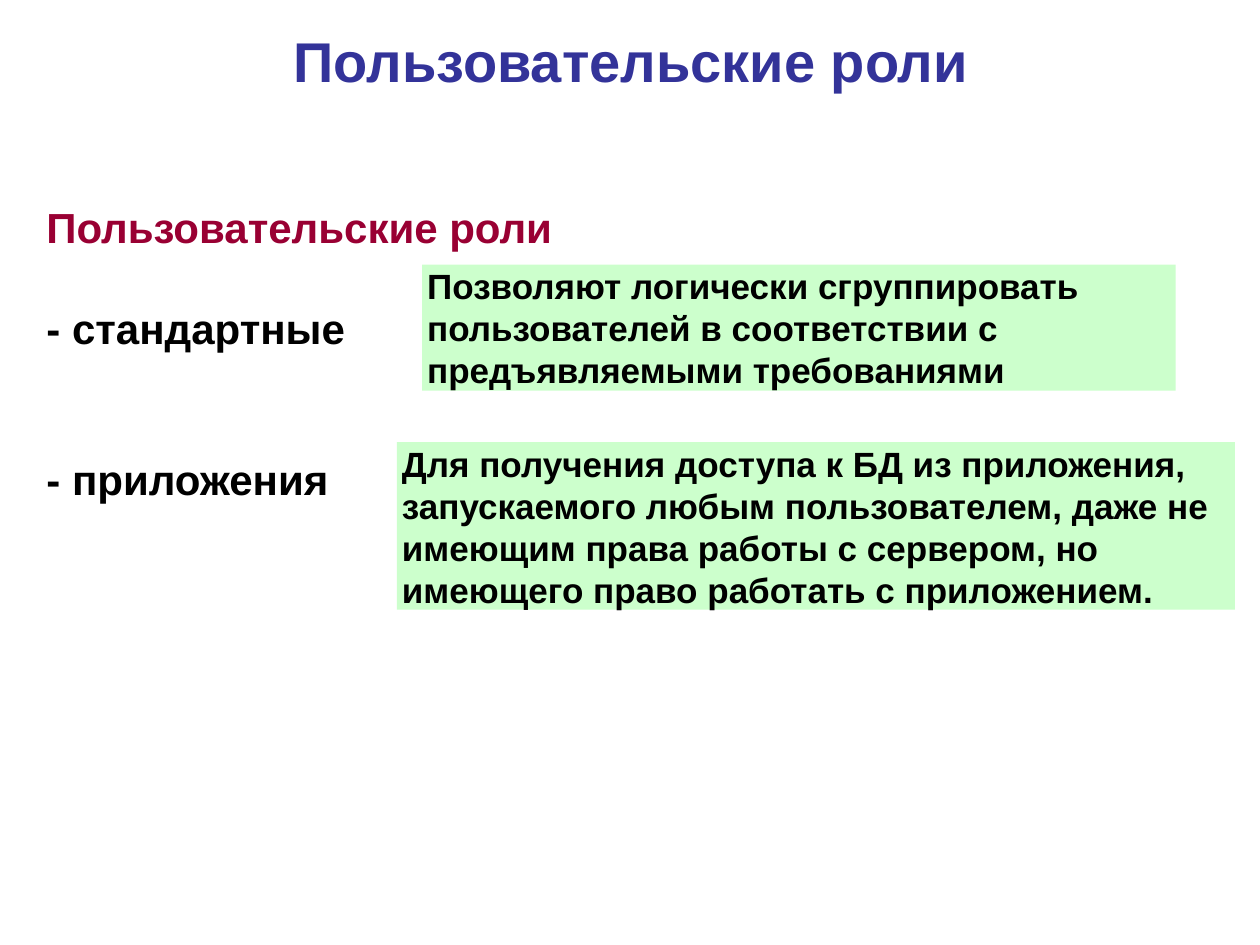
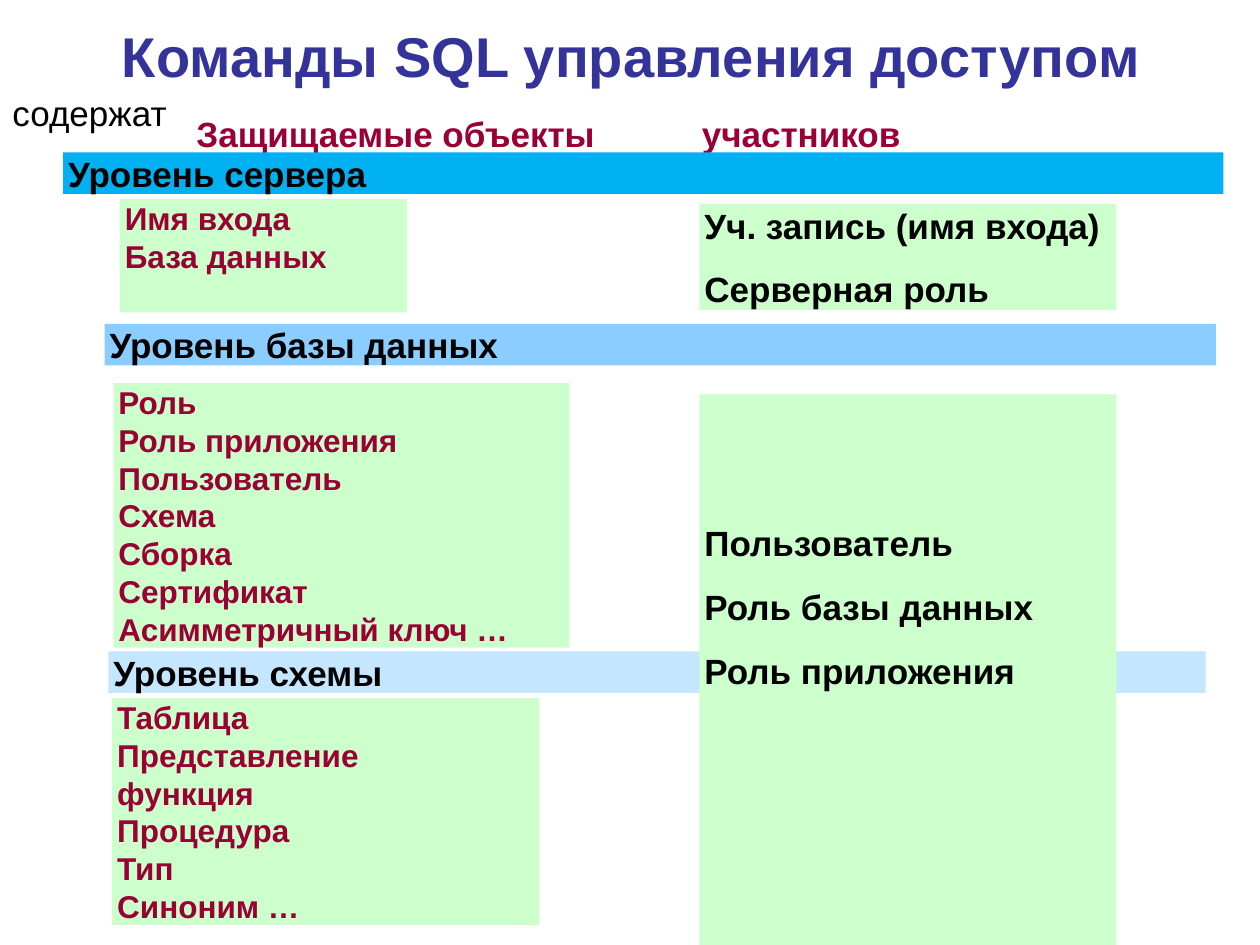
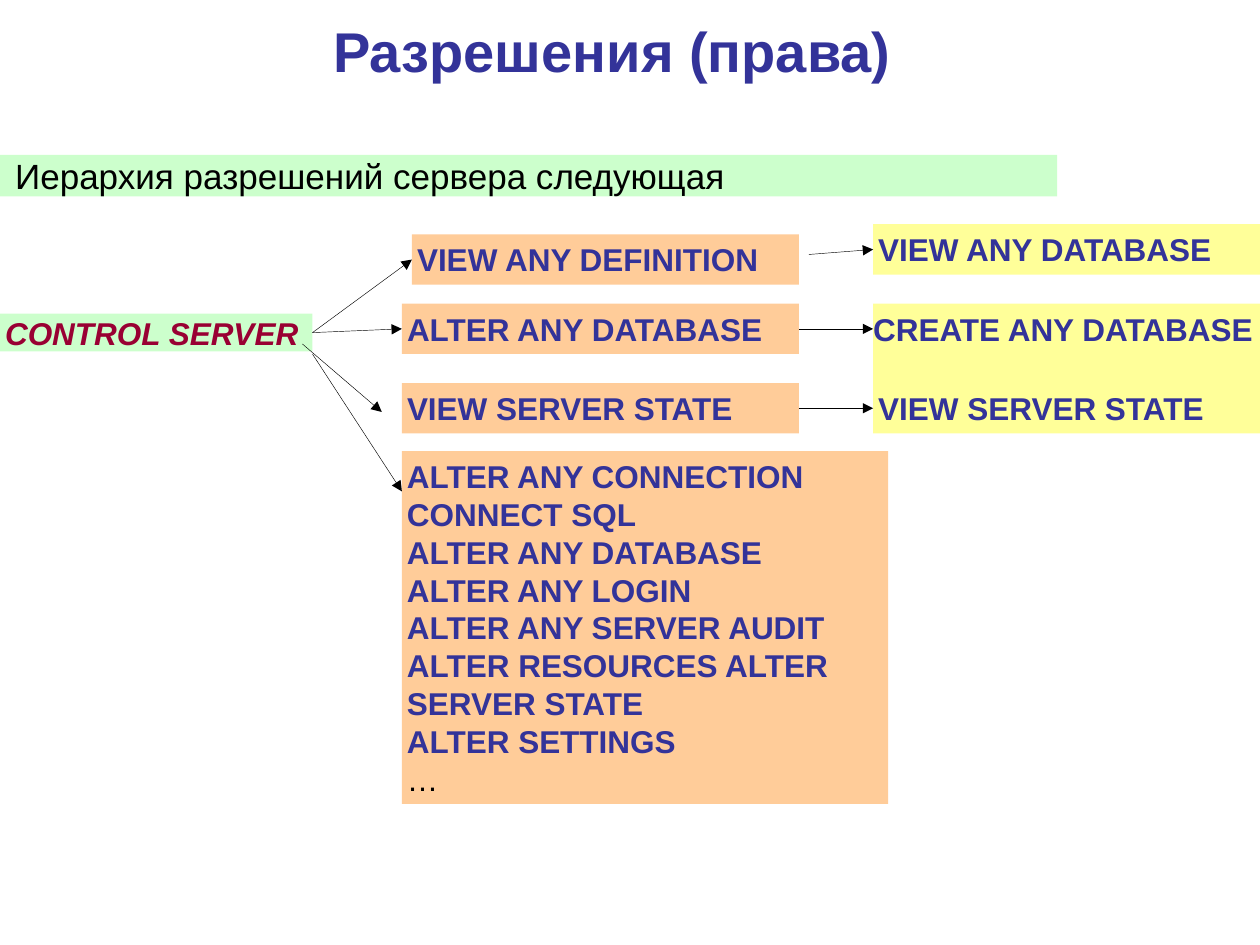
from lxml import etree
from pptx import Presentation
from pptx import util as u
from pptx.dml.color import RGBColor
from pptx.enum import shapes, text
from pptx.oxml.ns import qn

FONT = "Arial"
BLACK = RGBColor(0x00, 0x00, 0x00)
NAVY = RGBColor(0x33, 0x33, 0x99)
CRIMSON = RGBColor(0x99, 0x00, 0x33)
GREEN = RGBColor(0xCC, 0xFF, 0xCC)
ORANGE = RGBColor(0xFF, 0xCC, 0x99)
YELLOW = RGBColor(0xFF, 0xFF, 0x99)
SERVER_BLUE = RGBColor(0x00, 0xB0, 0xF0)
DATABASE_BLUE = RGBColor(0x8B, 0xCD, 0xFF)
SCHEMA_BLUE = RGBColor(0xC5, 0xE6, 0xFF)

LEADING = 1.2
GAP = 12.5
TIGHT = (0.04, 0, 0.04, 0)
PADDED = (0.04, 0.05, 0.04, 0.05)
LABEL = (0.1, 0.05, 0.1, 0.05)


def write(para, content, size=20, color=BLACK, bold=True, italic=False,
          before=0, align=text.PP_ALIGN.LEFT):
    para.alignment = align
    para.line_spacing = u.Pt(size * LEADING)
    para.space_before = u.Pt(before)
    span = para.add_run()
    span.text = content
    font = span.font
    font.name, font.size, font.bold, font.italic = FONT, u.Pt(size), bold, italic
    font.color.rgb = color


def fill_frame(frame, lines, insets, gap=0, **style):
    """Write one paragraph per line, with the gap before all but the first."""
    frame.word_wrap = True
    frame.auto_size = text.MSO_AUTO_SIZE.NONE
    frame.vertical_anchor = text.MSO_ANCHOR.TOP
    (frame.margin_left, frame.margin_top,
     frame.margin_right, frame.margin_bottom) = map(u.Inches, insets)
    for index, line in enumerate(lines):
        para = frame.add_paragraph() if index else frame.paragraphs[0]
        write(para, line, before=gap if index else 0, **style)


def add_titled_slide(deck, title, left, top, height):
    page = deck.slides.add_slide(deck.slide_layouts[5])
    box = page.shapes.title
    box.left, box.top = u.Inches(left), u.Inches(top)
    box.width, box.height = u.Inches(9), u.Inches(height)
    fill_frame(box.text_frame, [title], (0, 0, 0, 0), size=32, color=NAVY,
               align=text.PP_ALIGN.CENTER)
    box.text_frame.vertical_anchor = text.MSO_ANCHOR.MIDDLE
    return page


def add_label(page, place, lines, insets=LABEL, **style):
    box = page.shapes.add_textbox(*map(u.Inches, place))
    fill_frame(box.text_frame, lines, insets, **style)
    return box


def add_panel(page, place, fill, lines, insets=TIGHT, **style):
    box = page.shapes.add_shape(shapes.MSO_SHAPE.RECTANGLE, *map(u.Inches, place))
    box.shadow.inherit = False
    box.fill.solid()
    box.fill.fore_color.rgb = fill
    box.line.fill.background()
    fill_frame(box.text_frame, lines, insets, **style)
    return box


def add_arrow(page, start, end, source=None, target=None):
    """Draw an arrow; source is joined at its right side, target at its left."""
    arrow = page.shapes.add_connector(shapes.MSO_CONNECTOR.STRAIGHT,
                                      *map(u.Inches, (*start, *end)))
    if source is not None:
        arrow.begin_connect(source, 3)
    if target is not None:
        arrow.end_connect(target, 1)
    arrow.line.color.rgb = BLACK
    arrow.line.width = u.Pt(0.25)
    etree.SubElement(arrow.line._get_or_add_ln(), qn("a:tailEnd"), type="triangle")
    etree.SubElement(arrow._element.spPr, qn("a:effectLst"))


def build_roles(deck):
    page = add_titled_slide(deck, "Пользовательские роли", 0.51, 0.21, 0.54)
    roles = add_label(page, (0.27, 1.55, 4.57, 2.5), ["Пользовательские роли"],
                      size=24, color=CRIMSON)
    line = 24 * LEADING
    for role, blank_lines in (("- стандартные", 1), ("- приложения", 2)):
        write(roles.text_frame.add_paragraph(), role, size=24,
              before=blank_lines * line)
    add_panel(page, (3.35, 2.1, 5.98, 1), GREEN, [
        "Позволяют логически сгруппировать пользователей в соответствии с "
        "предъявляемыми требованиями"])
    add_panel(page, (3.15, 3.51, 6.65, 1.33), GREEN, [
        "Для получения доступа к БД из приложения, запускаемого любым "
        "пользователем, даже не имеющим права работы с сервером, но имеющего "
        "право работать с приложением."])


def build_access_levels(deck):
    page = add_titled_slide(deck, "Команды SQL управления доступом", 0.51, 0.13, 0.61)
    add_label(page, (0, 0.68, 1.85, 0.44), ["содержат"], bold=False)
    add_label(page, (1.46, 0.84, 3.39, 0.44), ["Защищаемые объекты"], color=CRIMSON)
    add_label(page, (5.39, 0.84, 2.2, 0.44), ["участников"],
              insets=(0.18, 0.05, 0.1, 0.05), color=CRIMSON)

    for name, left, top, width, fill in (
            ("Уровень сервера", 0.5, 1.21, 9.21, SERVER_BLUE),
            ("Уровень базы данных", 0.83, 2.57, 8.82, DATABASE_BLUE),
            ("Уровень схемы", 0.86, 5.17, 8.71, SCHEMA_BLUE)):
        add_panel(page, (left, top, width, 0.33), fill, [name])

    for place, objects in (
            ((0.95, 1.58, 2.28, 0.9), ["Имя входа", "База данных"]),
            ((0.9, 3.04, 3.62, 2.1),
             ["Роль", "Роль приложения", "Пользователь", "Схема", "Сборка",
              "Сертификат", "Асимметричный ключ …"]),
            ((0.89, 5.54, 3.39, 1.8),
             ["Таблица", "Представление", "функция", "Процедура", "Тип",
              "Синоним …"])):
        add_panel(page, place, GREEN, objects, size=18, color=CRIMSON)

    add_panel(page, (5.55, 1.62, 3.31, 0.84), GREEN,
              ["Уч. запись (имя входа)", "Серверная роль"], gap=GAP)
    add_panel(page, (5.55, 3.13, 3.31, 4.39), GREEN,
              ["Пользователь", "Роль базы данных", "Роль приложения"],
              insets=(0.04, 1.01, 0.04, 0), gap=GAP)


def build_permissions(deck):
    page = add_titled_slide(deck, "Разрешения (права)", 0.36, 0.13, 0.54)
    add_panel(page, (0, 1.23, 8.39, 0.33), GREEN,
              ["Иерархия разрешений сервера следующая"],
              insets=(0.12, 0, 0.04, 0), bold=False)
    control = add_panel(page, (0, 2.49, 2.48, 0.3), GREEN, ["CONTROL SERVER"],
                        size=18, color=CRIMSON, italic=True)

    def add_permission(place, fill, *names, insets=PADDED):
        return add_panel(page, place, fill, names, insets, size=18, color=NAVY)

    add_permission((6.93, 2.41, 3.07, 0.7), YELLOW, "CREATE ANY DATABASE",
                   insets=(0, 0.05, 0, 0.05))
    view_database = add_permission((6.93, 1.78, 3.07, 0.4), YELLOW, "VIEW ANY DATABASE")
    view_state = add_permission((6.93, 3.04, 3.07, 0.4), YELLOW, "VIEW SERVER STATE")
    definition = add_permission((3.27, 1.86, 3.07, 0.4), ORANGE, "VIEW ANY DEFINITION")
    alter = add_permission((3.19, 2.41, 3.15, 0.4), ORANGE, "ALTER ANY DATABASE")
    state = add_permission((3.19, 3.04, 3.15, 0.4), ORANGE, "VIEW SERVER STATE")
    others = add_permission(
        (3.19, 3.58, 3.86, 2.8), ORANGE,
        "ALTER ANY CONNECTION", "CONNECT SQL", "ALTER ANY DATABASE",
        "ALTER ANY LOGIN", "ALTER ANY SERVER AUDIT",
        "ALTER RESOURCES ALTER SERVER STATE", "ALTER SETTINGS")
    write(others.text_frame.add_paragraph(), "…", size=18, bold=False)

    add_arrow(page, (2.48, 2.64), (3.27, 2.06), control, definition)
    add_arrow(page, (2.48, 2.64), (3.19, 2.61), control, alter)
    add_arrow(page, (2.4, 2.73), (3.03, 3.27))
    add_arrow(page, (2.48, 2.81), (3.19, 3.9))
    add_arrow(page, (6.42, 2.02), (6.93, 1.98), target=view_database)
    add_arrow(page, (6.34, 2.61), (6.93, 2.61), source=alter)
    add_arrow(page, (6.34, 3.24), (6.93, 3.24), state, view_state)


def main():
    deck = Presentation()
    deck.slide_width, deck.slide_height = u.Inches(10), u.Inches(7.5)
    build_roles(deck)
    build_access_levels(deck)
    build_permissions(deck)
    deck.save("out.pptx")


if __name__ == "__main__":
    main()
